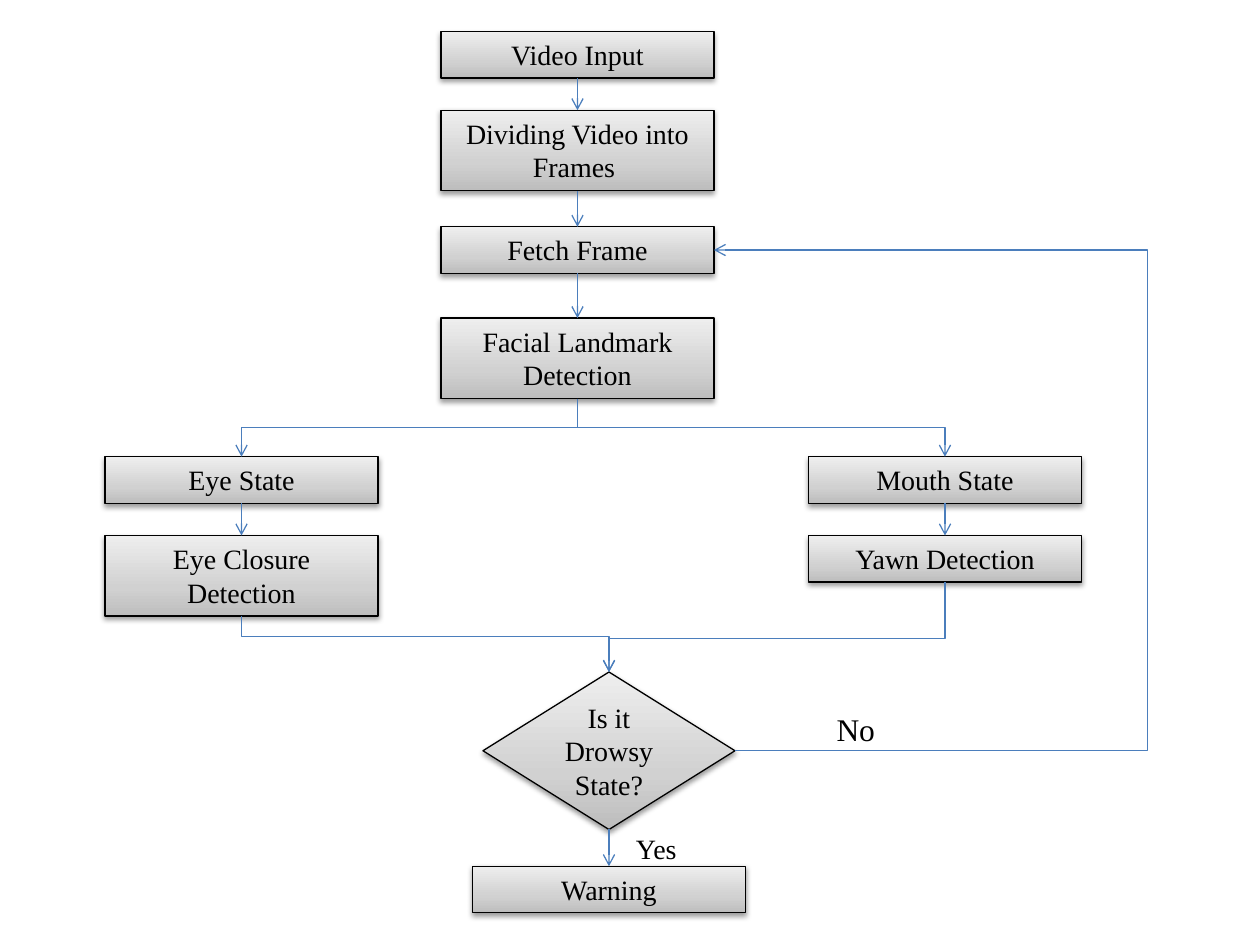
from collections import namedtuple
from lxml.etree import SubElement
from pptx import Presentation
from pptx.dml.color import RGBColor
from pptx.enum.shapes import MSO_CONNECTOR, MSO_SHAPE
from pptx.enum.text import MSO_ANCHOR, MSO_AUTO_SIZE, PP_ALIGN
from pptx.oxml.ns import qn
from pptx.util import Inches, Pt

RECT, RHOMB = MSO_SHAPE.RECTANGLE, MSO_SHAPE.FLOWCHART_DECISION
LINE, ELBOW = MSO_CONNECTOR.STRAIGHT, MSO_CONNECTOR.ELBOW
TOP, MIDDLE = MSO_ANCHOR.TOP, MSO_ANCHOR.MIDDLE
GROW, FIXED = MSO_AUTO_SIZE.SHAPE_TO_FIT_TEXT, MSO_AUTO_SIZE.NONE
CENTER = PP_ALIGN.CENTER

Theme = namedtuple("Theme", "font size large ink wire stroke grad shade")
THEME = Theme("Times New Roman", 16, 18, "000000", "4B7EBC", 0.75,
              ((0, "BDBDBD"), (35, "D1D1D1"), (100, "EEEEEE")),
              dict(blurRad=Pt(3.1), dist=Pt(1.6), dir=5400000, rotWithShape=0))

WIDE, HIGH = 10, 7.5
COLS = 120
CELL = WIDE / COLS
NODE = 26
ROWS = {1: 4.44, 2: 7.68}


class Box(namedtuple("Box", "x y w h")):
    @property
    def top(self):
        return self.x + self.w / 2, self.y

    @property
    def base(self):
        return self.x + self.w / 2, self.y + self.h

    @property
    def right(self):
        return self.x + self.w, self.y + self.h / 2


def unit(cells):
    return Inches(cells * CELL)


def apply(item, style):
    for key, value in style.items():
        setattr(item, key, value)


def add(parent, tag, **attrs):
    return SubElement(parent, qn(tag), {k: str(v) for k, v in attrs.items()})


def write(shape, text, size, anchor=TOP, fit=GROW):
    frame = shape.text_frame
    apply(frame, dict(text=text, word_wrap=True, auto_size=fit,
                      vertical_anchor=anchor))
    para = frame.paragraphs[0]
    para.alignment = CENTER
    apply(para.runs[0].font, dict(name=THEME.font, size=Pt(size)))
    para.runs[0].font.color.rgb = RGBColor.from_string(THEME.ink)


def stroke(shape, color):
    shape.line.width = Pt(THEME.stroke)
    shape.line.color.rgb = RGBColor.from_string(color)


def node(slide, box, text, kind=RECT, anchor=TOP, fit=GROW):
    shape = slide.shapes.add_shape(kind, *map(unit, box))
    shape.fill.gradient()
    stroke(shape, THEME.ink)
    shape.shadow.inherit = False
    props = shape._element.spPr
    grad = props.find(qn("a:gradFill"))
    for child in list(grad):
        grad.remove(child)
    stops = add(grad, "a:gsLst")
    for place, color in THEME.grad:
        stop = add(stops, "a:gs", pos=place * 1000)
        add(stop, "a:srgbClr", val=color)
    add(grad, "a:lin", ang=16200000, scaled=0)
    shade = add(props.find(qn("a:effectLst")), "a:outerShdw", **THEME.shade)
    add(add(shade, "a:srgbClr", val=THEME.ink), "a:alpha", val=38000)
    write(shape, text, THEME.size, anchor, fit)
    return box


def label(slide, box, text, size):
    write(slide.shapes.add_textbox(*map(unit, box)), text, size)


def arrow(slide, start, end, kind=LINE):
    wire = slide.shapes.add_connector(kind, *map(unit, start + end))
    stroke(wire, THEME.wire)
    add(wire.line._get_or_add_ln(), "a:tailEnd", type="arrow")
    add(wire._element.spPr, "a:effectLst")
    return wire


def bend(wire, share):
    geom = wire._element.spPr.find(qn("a:prstGeom"))
    guides = geom.find(qn("a:avLst"))
    if guides is None:
        guides = add(geom, "a:avLst")
    add(guides, "a:gd", name="adj1", fmla=f"val {round(share * 100000)}")


def drop(slide, start, end, row):
    wire = arrow(slide, start, end, ELBOW)
    (x1, y1), (x2, y2) = start, end
    w, h = y2 - y1, abs(x2 - x1)
    apply(wire, dict(left=unit((x1 + x2 - w) / 2), top=unit((y1 + y2 - h) / 2),
                     width=unit(w), height=unit(h)))
    frame = wire._element.spPr.find(qn("a:xfrm"))
    for key in ("flipH", "flipV"):
        frame.attrib.pop(key, None)
    frame.set("rot", "5400000" if x2 < x1 else "16200000")
    if x2 > x1:
        frame.set("flipH", "1")
    bend(wire, (row - y1) / w)


def loop(slide, start, end, col):
    wire = arrow(slide, start, end, ELBOW)
    bend(wire, (col - start[0]) / (end[0] - start[0]))


def stack(slide, x, y, steps):
    nodes = [node(slide, Box(x, y + down, NODE, ROWS[lines]), text)
             for down, lines, text in steps]
    for upper, lower in zip(nodes, nodes[1:]):
        arrow(slide, upper.base, lower.top)
    return nodes


def verdict(slide, x, y):
    ask = node(slide, Box(x, y, 24, 15), "Is it Drowsy State?",
               RHOMB, MIDDLE, FIXED)
    warn = node(slide, Box(x - 1, y + 18.5, NODE, ROWS[1]), "Warning")
    arrow(slide, ask.base, warn.top)
    label(slide, Box(x + 12, y + 14.6, 9, 4.44), "Yes", THEME.size)
    label(slide, Box(x + 31, y + 3, 9, 4.85), "No", THEME.large)
    return ask


def flow(slide):
    trunk = stack(slide, 42, 3, (
        (0, 1, "Video Input"), (7.5, 2, "Dividing Video into Frames "),
        (18.6, 1, "Fetch Frame"), (27.3, 2, "Facial Landmark Detection")))
    eye = stack(slide, 10, 43.5, (
        (0, 1, "Eye State"), (7.5, 2, "Eye Closure Detection")))
    mouth = stack(slide, 77, 43.5, (
        (0, 1, "Mouth State"), (7.5, 1, "Yawn Detection")))
    ask = verdict(slide, 46, 64)
    fork = trunk[-1].base
    for side, row in ((eye, 60.6), (mouth, 60.8)):
        drop(slide, fork, side[0].top, (fork[1] + side[0].y) / 2)
        drop(slide, side[-1].base, ask.top, row)
    loop(slide, ask.right, trunk[2].right, 109.3)


deck = Presentation()
apply(deck, dict(slide_width=Inches(WIDE), slide_height=Inches(HIGH)))
flow(deck.slides.add_slide(deck.slide_layouts[6]))
deck.save("out.pptx")
